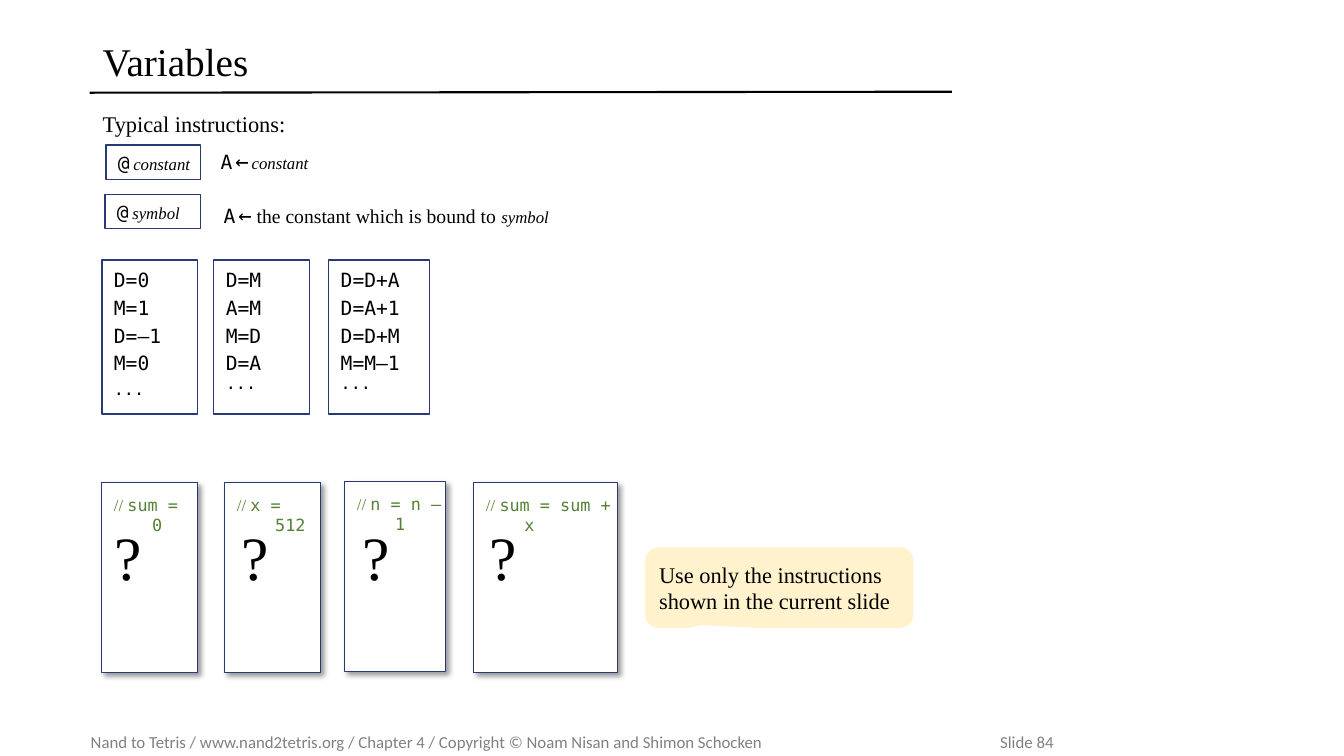
from lxml import etree
from pptx import Presentation
from pptx import util as u
from pptx.dml.color import RGBColor
from pptx.enum import shapes, text
from pptx.oxml import ns

PX = 9144
SERIF, MONO, SANS = "Times New Roman", "DejaVu Sans Mono", "Calibri"
BLACK, WHITE, NAVY, GREEN, GREY, CREAM = "000000", "FFFFFF", "293973", "548235", "808080", "FFF2CC"
MIDDLE, TOP = text.MSO_ANCHOR.MIDDLE, text.MSO_ANCHOR.TOP


def px(*lengths):
    """Turn px lengths into EMU."""
    return [u.Emu(round(length * PX)) for length in lengths]


def color(value):
    """Turn a hex string into a colour."""
    return RGBColor.from_string(value)


def add_xml(parent, tag, **attributes):
    """Append a DrawingML element and return it."""
    return etree.SubElement(parent, ns.qn(tag), {key: str(value) for key, value in attributes.items()})


def set_font(font, size, name, hex_color=BLACK, italic=False):
    """Set size, typeface, colour and slant of a font."""
    font.size, font.name, font.italic = u.Pt(size), name, italic
    font.color.rgb = color(hex_color)


def add_paragraph(frame, runs, before=0, spacing=None, hanging=0, tab=0):
    """Add one paragraph made of (text, size, font, colour, italic) runs."""
    paragraph = frame.paragraphs[0]
    if paragraph.runs:
        paragraph = frame.add_paragraph()
        paragraph.space_before = u.Pt(before)
    paragraph.alignment = text.PP_ALIGN.LEFT
    if spacing:
        paragraph.line_spacing = spacing
    properties = paragraph._p.get_or_add_pPr()
    if hanging:
        properties.set("marL", str(hanging * PX))
        properties.set("indent", str(-hanging * PX))
    if tab:
        add_xml(add_xml(properties, "a:tabLst"), "a:tab", pos=tab * PX, algn="l")
    for words, *style in runs:
        run = paragraph.add_run()
        run.text = words
        set_font(paragraph.font if len(runs) == 1 else run.font, *style)


def set_frame(frame, insets, anchor):
    """Prepare a wrapping text frame with the given insets."""
    frame.word_wrap, frame.vertical_anchor = True, anchor
    frame.margin_left, frame.margin_top, frame.margin_right, frame.margin_bottom = px(*insets)


def add_label(slide, box, runs, insets=(10, 5, 10, 5), anchor=TOP, **layout):
    """Add a one-paragraph text box."""
    frame = slide.shapes.add_textbox(*px(*box)).text_frame
    set_frame(frame, insets, anchor)
    add_paragraph(frame, runs, **layout)


def add_panel(slide, box, insets, anchor=TOP, line=1, fill=WHITE, kind=shapes.MSO_SHAPE.RECTANGLE):
    """Add a filled shape, outlined when a line width is given."""
    shape = slide.shapes.add_shape(kind, *px(*box))
    shape.shadow.inherit = False
    shape.fill.solid()
    shape.fill.fore_color.rgb = color(fill)
    if line:
        shape.line.color.rgb = color(NAVY)
        shape.line.width = u.Pt(line)
    else:
        shape.line.fill.background()
    set_frame(shape.text_frame, insets, anchor)
    return shape


def add_heading(slide, left, top):
    """Place the title and the rule below it."""
    add_label(slide, (left, top, 853, 63), [("Variables", 28, SERIF)], anchor=MIDDLE, spacing=0.9)
    rule = slide.shapes.add_connector(
        shapes.MSO_CONNECTOR.STRAIGHT, *px(left - 3, top + 60, left + 852, top + 59))
    rule.line.color.rgb = color(BLACK)
    rule.line.width = u.Pt(1.5)
    add_xml(rule._element.spPr, "a:effectLst")


def add_addressing(slide, box, word, meaning_left, meaning_top, meaning):
    """Place an @ instruction box and its meaning to the right."""
    left, top = box[:2]
    panel = add_panel(slide, box, (12, 0, 0, 0), MIDDLE)
    add_paragraph(panel.text_frame, [
        ("@", 14, MONO), (" ", 10, SERIF, BLACK, True), (word, 12, SERIF, BLACK, True)])
    arrow = [("A", 14, MONO), (" ", 8, SERIF), ("←", 16, MONO)]
    add_label(slide, (left + meaning_left, top + meaning_top, 538, 37),
              arrow + meaning + [(word, 12, SERIF, BLACK, True)])


def add_instructions(slide, box, lines, last_layout):
    """Place a box listing instructions and a closing ellipsis."""
    frame = add_panel(slide, box, (12, 8, 0, 0)).text_frame
    for line in lines.split():
        add_paragraph(frame, [(line, 14, MONO)], before=3, hanging=38)
    add_paragraph(frame, [("...", 12, MONO)], hanging=38, **last_layout)


def add_exercise(slide, box, task, mark_offset):
    """Place a shadowed exercise box with its task and a question mark."""
    panel = add_panel(slide, box, (12, 12, 0, 5), line=0.75)
    add_paragraph(panel.text_frame, [("// ", 12, SERIF, GREEN), (task, 12, MONO, GREEN)], hanging=38)
    effects = panel._element.spPr.find(ns.qn("a:effectLst"))
    shadow = add_xml(effects, "a:outerShdw", blurRad=u.Pt(4), dist=u.Pt(3),
                     dir=45 * 60000, algn="tl", rotWithShape=0)
    add_xml(add_xml(shadow, "a:srgbClr", val=BLACK), "a:alpha", val=40000)
    add_label(slide, (box[0] + mark_offset, 510, 85, 84), [("?", 44, SERIF)])


def add_hint(slide, box):
    """Place the callout that limits the instructions."""
    callout = add_panel(slide, box, (10, 5, 10, 5), MIDDLE, 0, CREAM,
                        shapes.MSO_SHAPE.ROUNDED_RECTANGULAR_CALLOUT)
    for index, value in enumerate((-0.29, 0.463, 0.167)):
        callout.adjustments[index] = value
    add_paragraph(callout.text_frame, [
        ("Use only the instructions shown in the current slide", 16, SERIF)])


def add_footer(slide, box):
    """Place the copyright line and the slide number."""
    credit = "Nand to Tetris / www.nand2tetris.org / Chapter 4 / Copyright © Noam Nisan and Shimon Schocken"
    add_label(slide, box, [(credit + "\tSlide 84", 12, SANS, GREY)], (0, 5, 0, 5), MIDDLE, tab=902)


def main():
    """Build and save the slide."""
    presentation = Presentation()
    presentation.slide_width, presentation.slide_height = px(1333, 750)
    slide = presentation.slides.add_slide(presentation.slide_layouts[6])
    add_footer(slide, (90, 721, 1225, 30))
    add_heading(slide, 92, 32)
    add_label(slide, (92, 104, 229, 37), [("Typical instructions:", 16, SERIF)])
    add_addressing(slide, (105, 144, 94, 34), "constant", 104, -3, [(" ", 8, SERIF)])
    add_addressing(slide, (104, 193, 95, 34), "symbol", 108, 2,
                   [(" the constant which is bound to ", 14, SERIF)])
    tight = {"spacing": 0.9}
    for left, width, lines, last_layout in (
            (101, 95, "D=0 M=1 D=–1 M=0", {"before": 3}),
            (212, 95, "D=M A=M M=D D=A", tight),
            (326, 100, "D=D+A D=A+1 D=D+M M=M–1", tight)):
        add_instructions(slide, (left, 258, width, 153), lines, last_layout)
    for left, top, width, task, mark_offset in (
            (101, 479, 95, "sum = 0", 3),
            (223, 479, 95, "x = 512", 7),
            (342, 478, 100, "n = n – 1", 8),
            (470, 479, 142, "sum = sum + x", 6)):
        add_exercise(slide, (left, top, width, 188), task, mark_offset)
    add_hint(slide, (640, 543, 266, 80))
    presentation.save("out.pptx")


if __name__ == "__main__":
    main()
